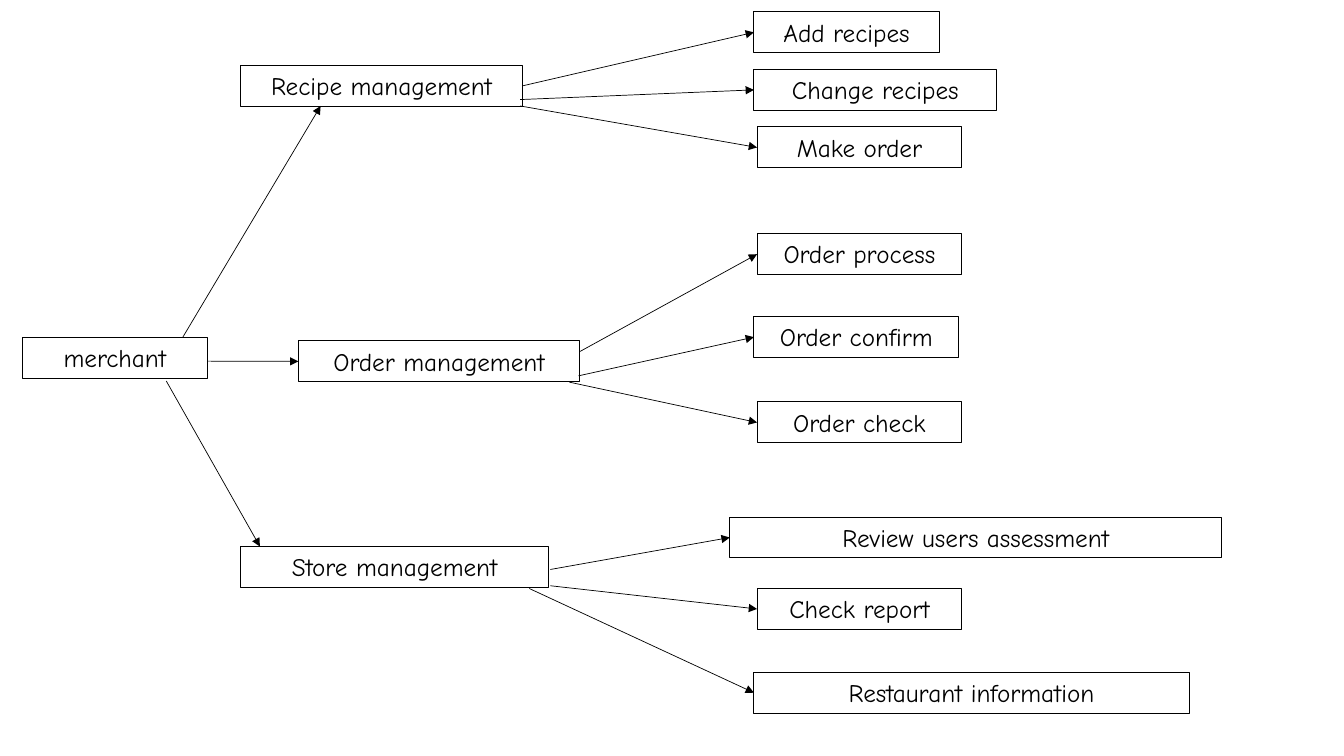
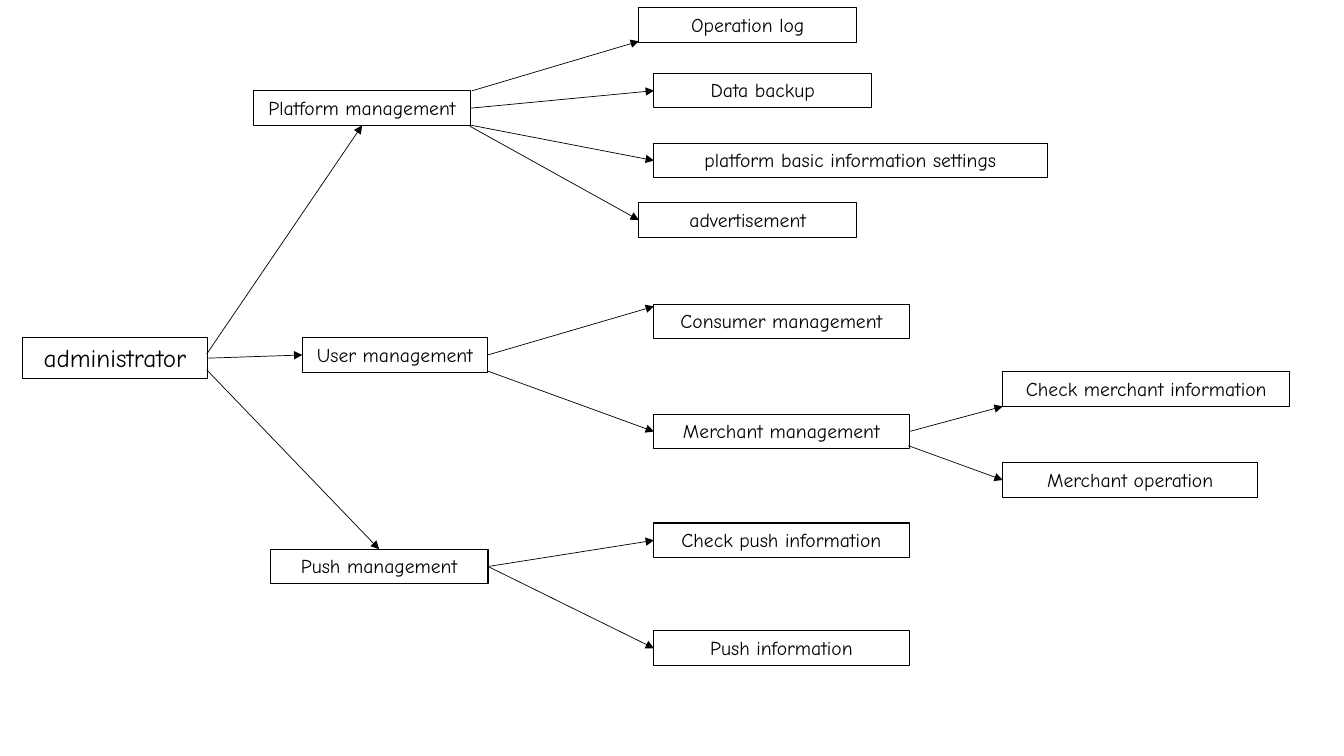
import pptx
import pptx.dml.color
import pptx.enum.shapes
import pptx.enum.text
import pptx.oxml
import pptx.oxml.ns
import pptx.util
from pptx.util import Cm

COLORS = {"ink": "000000"}
FONT = "Comic Neue"
BOX_HEIGHTS = {18: 1.03, 14: 0.87}  # text size in points: box height in cm
TOP, LEFT, BOTTOM, RIGHT = range(4)  # connection sites of a rectangle

# Each box: label, left, top, width (cm), text size.
# Each arrow: source, target, start, end; an end is a side or a point in cm.
DIAGRAMS = [
    {
        "boxes": [
            ("merchant", 0.56, 8.51, 4.67, 18),
            ("Recipe management", 6.07, 1.65, 7.09, 18),
            ("Order management", 7.52, 8.59, 7.09, 18),
            ("Store management", 6.07, 13.77, 7.75, 18),
            ("Add recipes", 19, 0.3, 4.67, 18),
            ("Change recipes", 19, 1.75, 6.12, 18),
            ("Make order", 19.08, 3.2, 5.16, 18),
            ("Order process", 19.08, 5.89, 5.16, 18),
            ("Order confirm", 19, 7.98, 5.16, 18),
            ("Order check", 19.08, 10.13, 5.16, 18),
            ("Review users assessment", 18.39, 13.03, 12.4, 18),
            ("Check report", 19.08, 14.83, 5.16, 18),
            ("Restaurant information", 19, 16.94, 10.97, 18),
        ],
        "arrows": [
            ("merchant", "Recipe management", (4.6, 8.51), (8.08, 2.67)),
            ("merchant", "Order management", (5.23, 9.1), LEFT),
            ("merchant", "Store management", (4.19, 9.6), (6.55, 13.77)),
            ("Recipe management", "Add recipes", RIGHT, LEFT),
            ("Recipe management", "Change recipes", (13.11, 2.51), LEFT),
            ("Recipe management", "Make order", (13.11, 2.67), LEFT),
            ("Order management", "Order process", (14.61, 8.86), LEFT),
            ("Order management", "Order confirm", (14.58, 9.47), LEFT),
            ("Order management", "Order check", (14.35, 9.63), LEFT),
            ("Store management", "Review users assessment", (13.87, 14.35), LEFT),
            ("Store management", "Check report", (13.87, 14.76), LEFT),
            ("Store management", "Restaurant information", (13.34, 14.83), LEFT),
        ],
    },
    {
        "boxes": [
            ("administrator", 0.56, 8.51, 4.67, 18),
            ("Platform management", 6.38, 2.29, 5.49, 14),
            ("User management", 7.62, 8.51, 4.67, 14),
            ("Push management", 6.81, 13.84, 5.49, 14),
            ("Operation log", 16.1, 0.2, 5.49, 14),
            ("Data backup", 16.48, 1.85, 5.49, 14),
            ("platform basic information settings", 16.48, 3.61, 9.91, 14),
            ("advertisement", 16.1, 5.11, 5.49, 14),
            ("Consumer management", 16.48, 7.67, 6.43, 14),
            ("Merchant management", 16.48, 10.44, 6.43, 14),
            ("Check merchant information", 25.27, 9.37, 7.24, 14),
            ("Merchant operation", 25.27, 11.66, 6.43, 14),
            ("Check push information", 16.48, 13.18, 6.43, 14),
            ("Push information", 16.48, 15.9, 6.43, 14),
        ],
        "arrows": [
            ("administrator", "Platform management", (5.21, 8.92), BOTTOM),
            ("administrator", "User management", RIGHT, LEFT),
            ("administrator", "Push management", (5.21, 9.32), TOP),
            ("Platform management", "Operation log", (11.89, 2.29), (16.1, 1.04)),
            ("Platform management", "Data backup", RIGHT, LEFT),
            ("Platform management", "platform basic information settings",
             (11.84, 3.15), LEFT),
            ("Platform management", "advertisement", (11.84, 3.18), LEFT),
            ("User management", "Consumer management", RIGHT, (16.48, 7.72)),
            ("User management", "Merchant management", (12.29, 9.35), LEFT),
            ("Merchant management", "Check merchant information",
             RIGHT, (25.27, 10.24)),
            ("Merchant management", "Merchant operation", (22.89, 11.23), LEFT),
            ("Push management", "Check push information", RIGHT, LEFT),
            ("Push management", "Push information", RIGHT, LEFT),
        ],
    },
]


def style_line(line, points):
    line.color.rgb = pptx.dml.color.RGBColor.from_string(COLORS["ink"])
    line.width = pptx.util.Pt(points)


def add_box(page, label, left, top, width, size):
    box = page.shapes.add_shape(
        pptx.enum.shapes.MSO_SHAPE.RECTANGLE,
        Cm(left), Cm(top), Cm(width), Cm(BOX_HEIGHTS[size]))
    box.shadow.inherit = False
    box.fill.background()
    style_line(box.line, 0.75)
    frame = box.text_frame
    frame.text = label
    frame.word_wrap = True
    frame.auto_size = pptx.enum.text.MSO_AUTO_SIZE.SHAPE_TO_FIT_TEXT
    frame.vertical_anchor = pptx.enum.text.MSO_ANCHOR.TOP
    para = frame.paragraphs[0]
    para.alignment = pptx.enum.text.PP_ALIGN.CENTER
    font = para.runs[0].font
    font.name = FONT
    font.size = pptx.util.Pt(size)
    font.color.rgb = pptx.dml.color.RGBColor.from_string(COLORS["ink"])
    return box


def locate(box, end):
    """Return the position of a side's middle or of a free point."""
    if isinstance(end, tuple):
        return Cm(end[0]), Cm(end[1])
    across, down = {TOP: (1, 0), LEFT: (0, 1), BOTTOM: (1, 2), RIGHT: (2, 1)}[end]
    return (box.left + box.width * across // 2,
            box.top + box.height * down // 2)


def add_arrow(page, source, target, start, end):
    arrow = page.shapes.add_connector(
        pptx.enum.shapes.MSO_CONNECTOR.STRAIGHT,
        *locate(source, start), *locate(target, end))
    if not isinstance(start, tuple):
        arrow.begin_connect(source, start)
    if not isinstance(end, tuple):
        arrow.end_connect(target, end)
    style_line(arrow.line, 0.5)
    # Arrowhead, and no theme shadow
    head = pptx.oxml.parse_xml(
        f'<a:tailEnd {pptx.oxml.ns.nsdecls("a")} type="triangle"/>')
    arrow.line._get_or_add_ln().append(head)
    arrow._element.spPr.append(pptx.oxml.parse_xml(
        f'<a:effectLst {pptx.oxml.ns.nsdecls("a")}/>'))


def main():
    deck = pptx.Presentation()
    deck.slide_width, deck.slide_height = Cm(33.87), Cm(19.05)
    for diagram in DIAGRAMS:
        page = deck.slides.add_slide(deck.slide_layouts[6])
        boxes = {box[0]: add_box(page, *box) for box in diagram["boxes"]}
        for source, target, start, end in diagram["arrows"]:
            add_arrow(page, boxes[source], boxes[target], start, end)
    deck.save("out.pptx")


if __name__ == "__main__":
    main()
